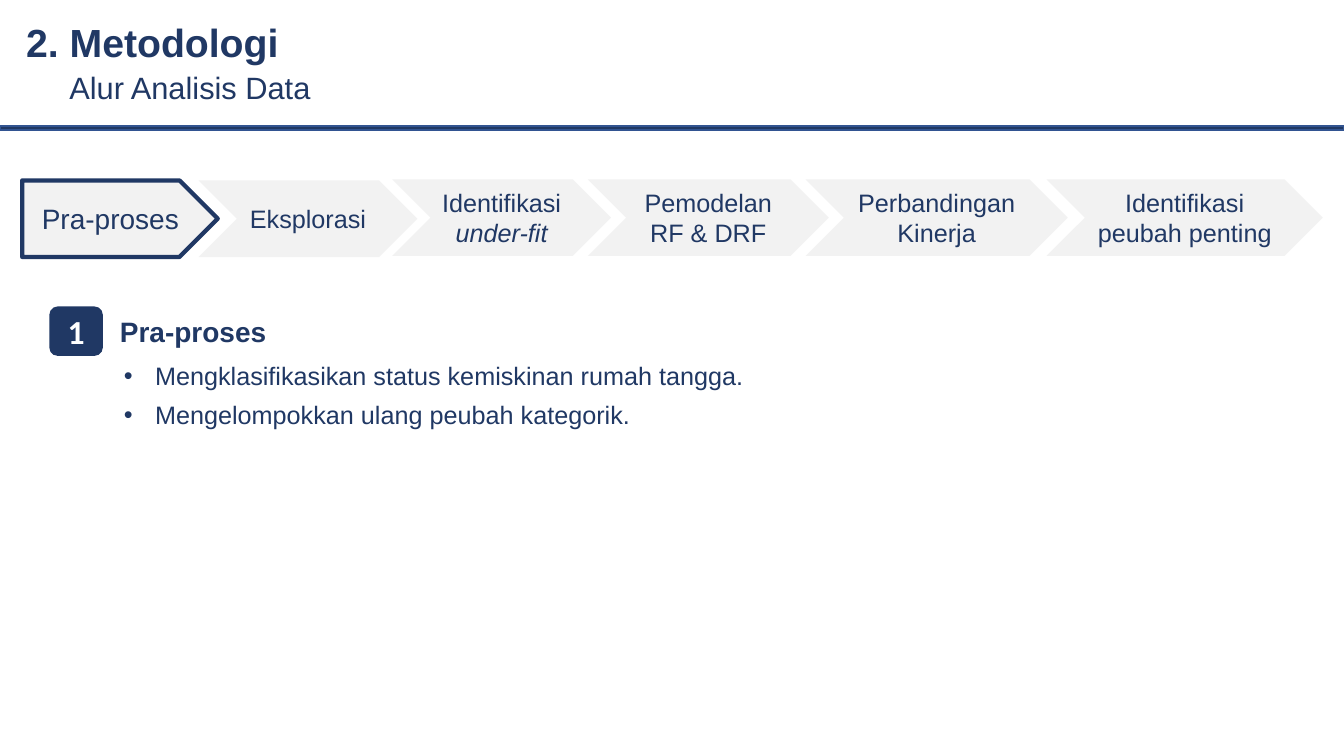
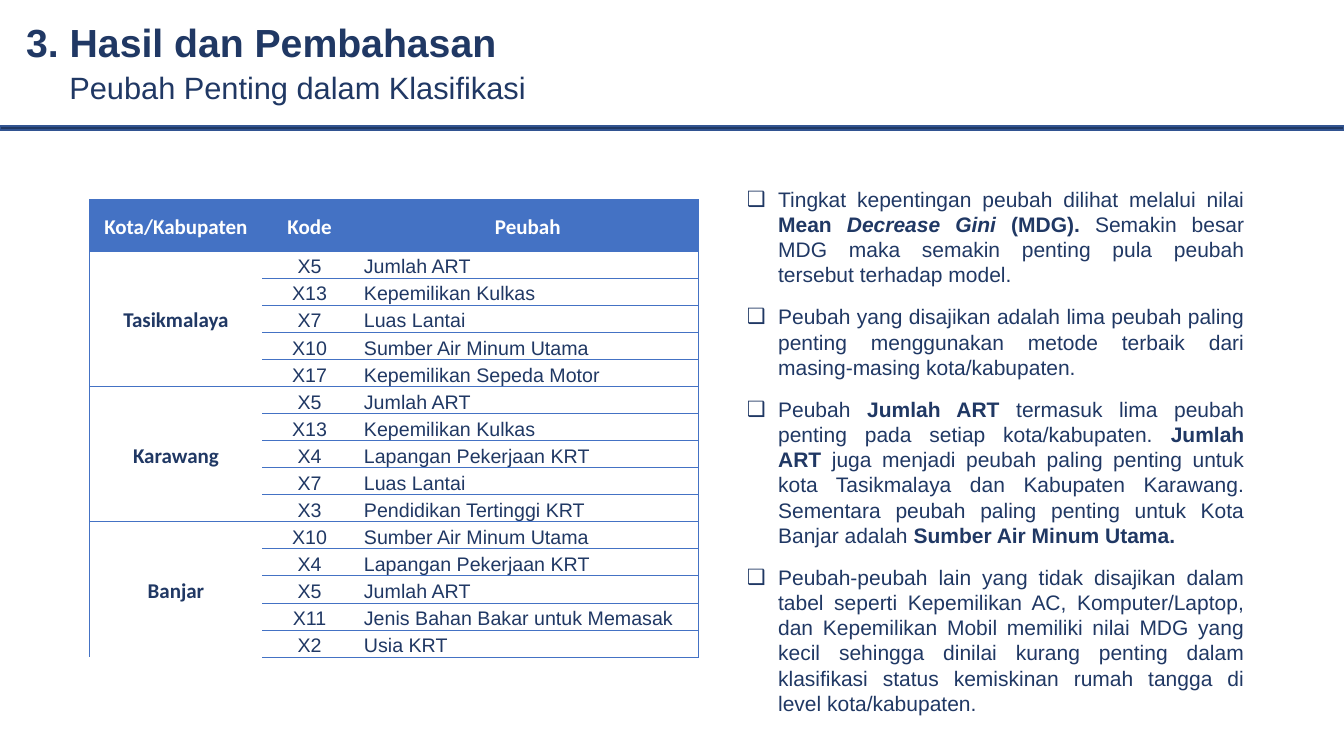
"""Build two slides on the method and the results of a poverty classification study."""
from lxml.etree import SubElement
from pptx import Presentation
from pptx.dml.color import RGBColor
from pptx.enum.shapes import MSO_SHAPE as Shape
from pptx.enum.text import MSO_ANCHOR as Anchor, PP_ALIGN as Align
from pptx.oxml.ns import qn
from pptx.util import Inches, Pt

NAVY = RGBColor(0x20, 0x38, 0x64)
EDGE = RGBColor(0x32, 0x54, 0x91)
BLUE = RGBColor(0x44, 0x72, 0xC4)
PALE = RGBColor(0xF2, 0xF2, 0xF2)
WHITE = RGBColor(0xFF, 0xFF, 0xFF)


def write(frame, *paragraphs, size=18, font="Arial", color=NAVY, bold=False, align=Align.LEFT,
          anchor=Anchor.TOP, spacing=None, after=None, bullet=None):
    """Fill a frame; a paragraph is a string or a list of (text, style) with style from b and i."""
    frame.word_wrap = True
    frame.vertical_anchor = anchor
    for index, content in enumerate(paragraphs):
        para = frame.paragraphs[0] if index == 0 else frame.add_paragraph()
        para.alignment = align
        para.line_spacing = spacing
        if after is not None:
            para.space_after = Pt(after)
        if bullet:
            props = para._p.get_or_add_pPr()
            props.set("marL", str(Inches(0.31)))
            props.set("indent", str(-Inches(0.31)))
            SubElement(props, qn("a:buFont"), typeface="Arial")
            SubElement(props, qn("a:buChar"), char=bullet)
        for text, style in [(content, "")] if isinstance(content, str) else content:
            span = para.add_run()
            span.text = text
            span.font.size = Pt(size)
            span.font.name = font
            span.font.color.rgb = color
            span.font.bold = bold or "b" in style
            span.font.italic = "i" in style


def add_block(page, kind, left, top, width, height, fill, line=None, weight=1):
    """Add a flat preset shape with an optional outline."""
    block = page.shapes.add_shape(kind, Inches(left), Inches(top), Inches(width), Inches(height))
    block.shadow.inherit = False
    block.fill.solid()
    block.fill.fore_color.rgb = fill
    if line is None:
        block.line.fill.background()
    else:
        block.line.color.rgb = line
        block.line.width = Pt(weight)
    return block


deck = Presentation()
deck.slide_width = Inches(13.33)
deck.slide_height = Inches(7.5)

headings = [
    ("2. Metodologi", 3.25, "Alur Analisis Data", 3.44),
    ("3. Hasil dan Pembahasan", 5.01, "Peubah Penting dalam Klasifikasi", 6.63),
]
pages = []
for heading, heading_width, subheading, subheading_width in headings:
    page = deck.slides.add_slide(deck.slide_layouts[5])
    title = page.shapes.title
    title.left, title.top = Inches(0.16), Inches(0.16)
    title.width, title.height = Inches(heading_width), Inches(0.56)
    write(title.text_frame, heading, size=28, bold=True, anchor=Anchor.MIDDLE, spacing=0.9)
    add_block(page, Shape.RECTANGLE, 0, 1.25, 13.33, 0.04, NAVY, EDGE)
    box = page.shapes.add_textbox(Inches(0.59), Inches(0.63), Inches(subheading_width), Inches(0.47))
    write(box.text_frame, subheading, size=22)
    pages.append(page)
method_page, result_page = pages

box = method_page.shapes.add_textbox(Inches(1.09), Inches(3.07), Inches(1.71), Inches(0.44))
write(box.text_frame, "Pra-proses", size=20, bold=True)
badge = add_block(method_page, Shape.ROUNDED_RECTANGLE, 0.49, 3.04, 0.53, 0.49, NAVY)
write(badge.text_frame, "1", size=24, font="Calibri", color=WHITE, bold=True,
      align=Align.CENTER, anchor=Anchor.MIDDLE)
box = method_page.shapes.add_textbox(Inches(1.13), Inches(3.53), Inches(7.09), Inches(1.18))
write(box.text_frame, "Mengklasifikasikan status kemiskinan rumah tangga.",
      "Mengelompokkan ulang peubah kategorik.", after=6, bullet="•")

step = add_block(method_page, Shape.PENTAGON, 0.22, 1.79, 1.94, 0.76, PALE, NAVY, 3)
write(step.text_frame, "Pra-proses", size=20, align=Align.CENTER, anchor=Anchor.MIDDLE)
steps = [
    (1.97, 1.79, 2.17, ["Eksplorasi"]),
    (3.89, 1.78, 2.17, [[("Identifikasi ", ""), ("under-fit", "i")]]),
    (5.83, 1.78, 2.39, ["Pemodelan", "RF & DRF"]),
    (7.99, 1.78, 2.6, ["Perbandingan Kinerja"]),
    (10.38, 1.78, 2.74, ["Identifikasi peubah penting"]),
]
for left, top, width, lines in steps:
    step = add_block(method_page, Shape.CHEVRON, left, top, width, 0.76, PALE)
    write(step.text_frame, *lines, align=Align.CENTER, anchor=Anchor.MIDDLE)

variables = {
    "X2": "Usia KRT",
    "X3": "Pendidikan Tertinggi KRT",
    "X4": "Lapangan Pekerjaan KRT",
    "X5": "Jumlah ART",
    "X7": "Luas Lantai",
    "X10": "Sumber Air Minum Utama",
    "X11": "Jenis Bahan Bakar untuk Memasak",
    "X13": "Kepemilikan Kulkas",
    "X17": "Kepemilikan Sepeda Motor",
}
regions = {
    "Tasikmalaya": ["X5", "X13", "X7", "X10", "X17"],
    "Karawang": ["X5", "X13", "X4", "X7", "X3"],
    "Banjar": ["X10", "X4", "X5", "X11", "X2"],
}
rows = [("Kota/Kabupaten", "Kode", "Peubah")]
for region, codes in regions.items():
    for position, code in enumerate(codes):
        rows.append(("" if position else region, code, variables[code]))

table = result_page.shapes.add_table(len(rows), 3, Inches(0.89), Inches(1.98),
                                     Inches(6.04), Inches(4.26)).table
table.horz_banding = False
for column, width in zip(table.columns, (1.71, 0.94, 3.39)):
    column.width = Inches(width)
for row_index, row in enumerate(rows):
    table.rows[row_index].height = Inches(0.25 if row_index else 0.51)
    for column_index, text in enumerate(row):
        cell = table.cell(row_index, column_index)
        cell.margin_left = cell.margin_right = Inches(0.07)
        cell.margin_top = cell.margin_bottom = 0
        is_label = row_index == 0 or column_index == 0
        cell.vertical_anchor = Anchor.MIDDLE if is_label else Anchor.BOTTOM
        if text:
            write(cell.text_frame, text, size=15 if is_label else 14,
                  font="Calibri" if is_label else "Arial", bold=is_label,
                  color=NAVY if row_index else WHITE, spacing=1.15,
                  after=10 if is_label else 0, anchor=cell.vertical_anchor,
                  align=Align.JUSTIFY if row_index and column_index == 2 else Align.CENTER)
        borders = {
            "a:lnL": column_index == 0,
            "a:lnR": column_index == 2,
            "a:lnT": column_index > 0 or row_index % 5 == 1 or row_index == 0,
            "a:lnB": column_index > 0 or row_index % 5 == 0,
        }
        for tag, shown in borders.items():
            border = SubElement(cell._tc.get_or_add_tcPr(), qn(tag), w=str(Pt(0.5)))
            paint = SubElement(border, qn("a:solidFill" if shown else "a:noFill"))
            if shown:
                SubElement(paint, qn("a:srgbClr"), val=str(BLUE))
        if row_index:
            cell.fill.background()
        else:
            cell.fill.solid()
            cell.fill.fore_color.rgb = BLUE
for first in range(1, len(rows), 5):
    table.cell(first, 0).merge(table.cell(first + 4, 0))

findings = [
    [("Tingkat kepentingan peubah dilihat melalui nilai ", ""), ("Mean", "b"),
     (" Decrease Gini ", "bi"), ("(MDG). ", "b"),
     ("Semakin besar MDG maka semakin penting pula peubah tersebut terhadap model.", "")],
    "Peubah yang disajikan adalah lima peubah paling penting menggunakan metode terbaik dari "
    "masing-masing kota/kabupaten.",
    [("Peubah ", ""), ("Jumlah ART ", "b"),
     ("termasuk lima peubah penting pada setiap kota/kabupaten. ", ""), ("Jumlah ART ", "b"),
     ("juga menjadi peubah paling penting untuk kota Tasikmalaya dan Kabupaten Karawang. "
      "Sementara peubah paling penting untuk Kota Banjar adalah ", ""),
     ("Sumber Air Minum Utama.", "b")],
    "Peubah-peubah lain yang tidak disajikan dalam tabel seperti Kepemilikan AC, "
    "Komputer/Laptop, dan Kepemilikan Mobil memiliki nilai MDG yang kecil sehingga dinilai "
    "kurang penting dalam klasifikasi status kemiskinan rumah tangga di level kota/kabupaten.",
]
box = result_page.shapes.add_textbox(Inches(7.31), Inches(1.8), Inches(5.13), Inches(5.4))
write(box.text_frame, *findings, size=15, align=Align.JUSTIFY, after=12, bullet="❑")

deck.save("out.pptx")
